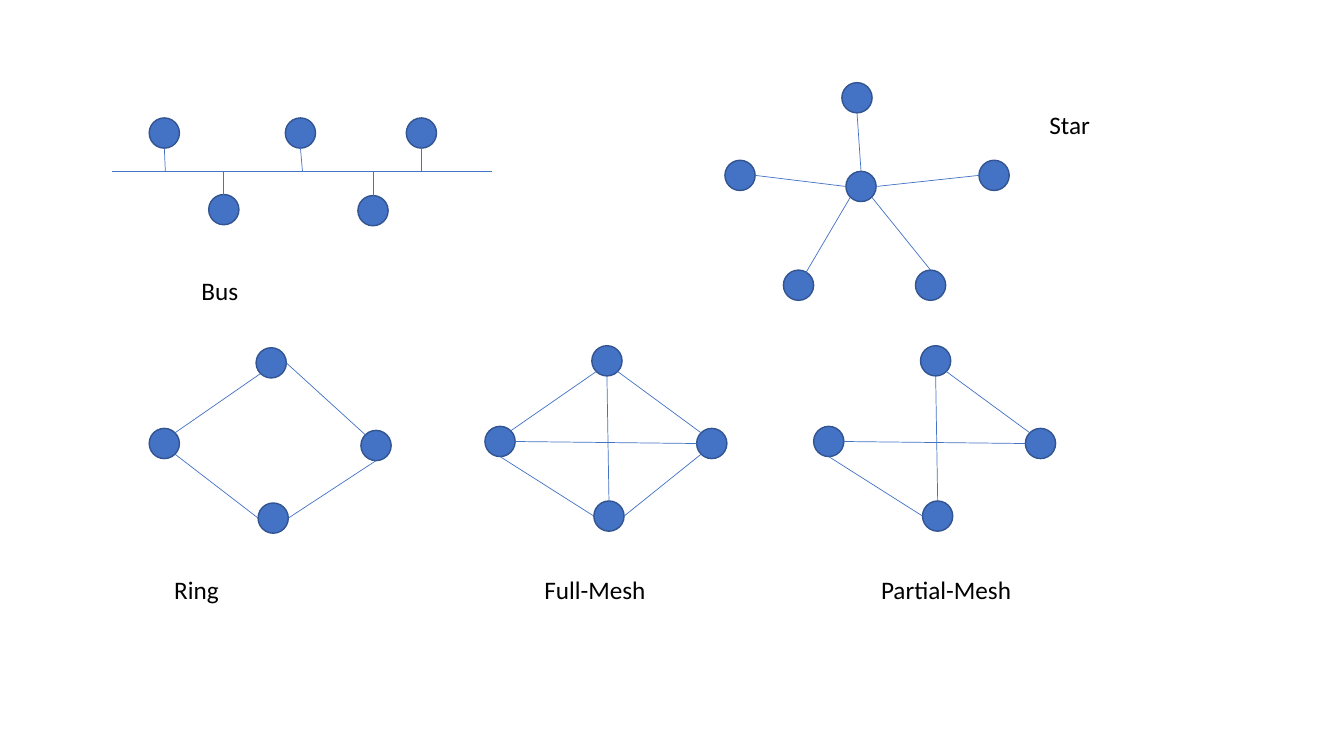
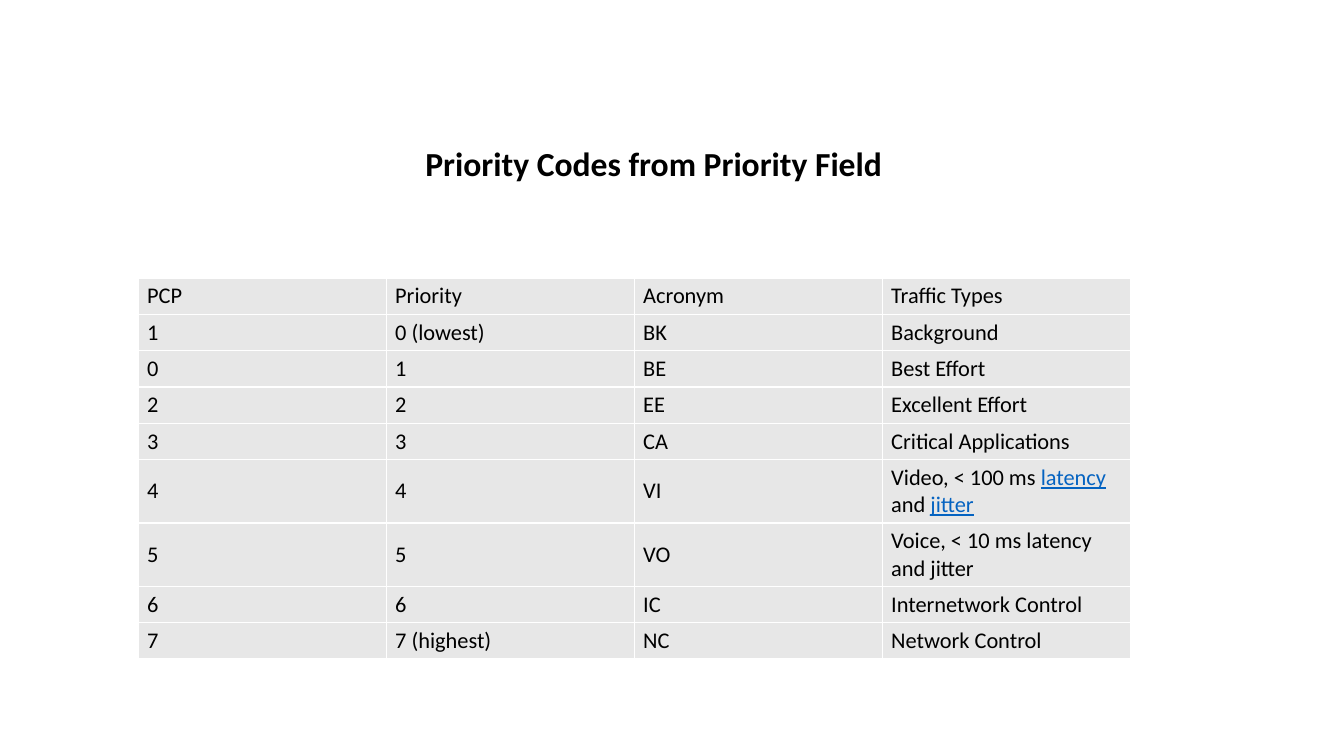
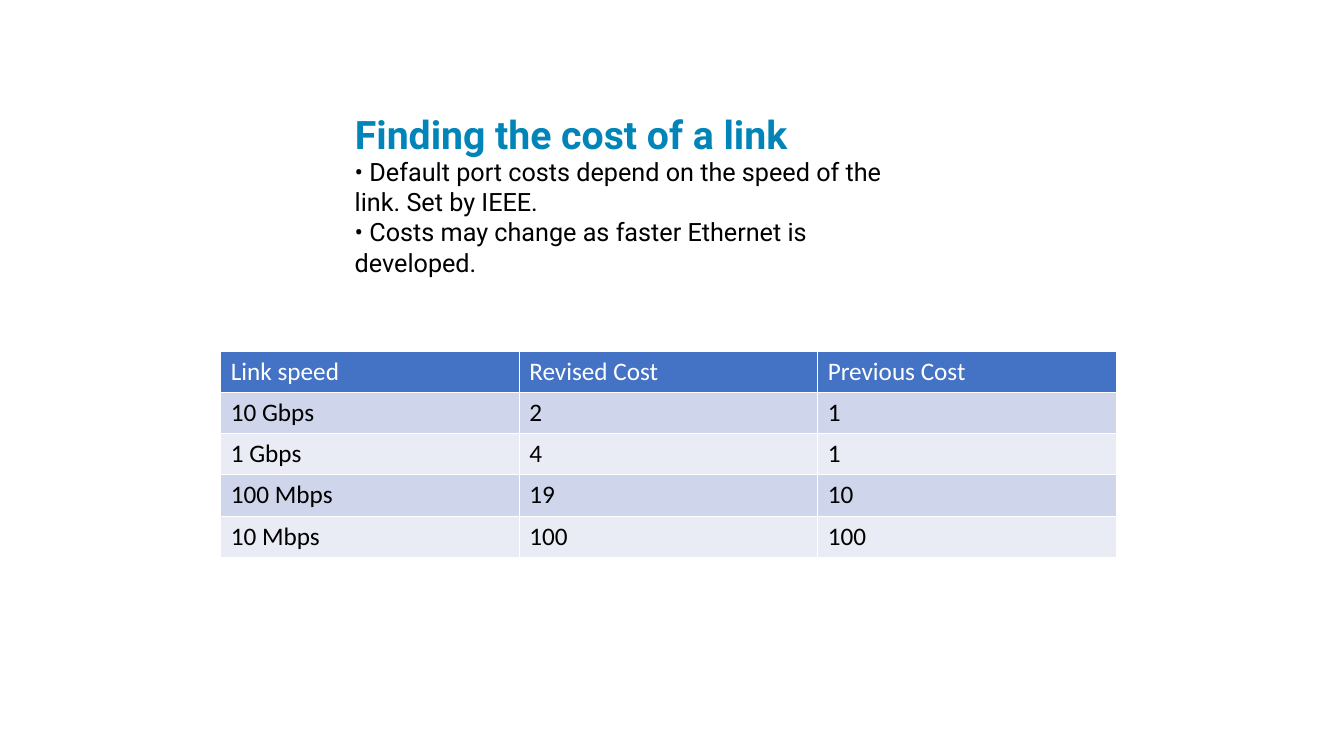
from math import sqrt

from pptx import Presentation
from pptx.dml.color import RGBColor
from pptx.enum import shapes, text
from pptx.oxml import parse_xml
from pptx.oxml.ns import nsdecls
from pptx.util import Inches, Pt

BLACK = RGBColor(0x00, 0x00, 0x00)
WHITE = RGBColor(0xFF, 0xFF, 0xFF)
BLUE = RGBColor(0x44, 0x72, 0xC4)
NAVY = RGBColor(0x32, 0x54, 0x91)
TEAL = RGBColor(0x01, 0x84, 0xB8)
LINK_BLUE = RGBColor(0x05, 0x63, 0xC1)
GREY = RGBColor(0xE7, 0xE7, 0xE7)
BANDS = [RGBColor(0xCF, 0xD5, 0xEA), RGBColor(0xE9, 0xEB, 0xF5)]

TITLE_ONLY, BLANK = 5, 6
RADIUS = 0.15
DIAGONAL = RADIUS / sqrt(2)
# Offsets from a node's centre to the point where a link touches it
SITES = {
    "C": (0, 0), "N": (0, -RADIUS), "S": (0, RADIUS),
    "W": (-RADIUS, 0), "E": (RADIUS, 0),
    "NW": (-DIAGONAL, -DIAGONAL), "NE": (DIAGONAL, -DIAGONAL),
    "SW": (-DIAGONAL, DIAGONAL), "SE": (DIAGONAL, DIAGONAL),
}

LABELS = [
    ("Bus", 1.9, 2.68), ("Star", 10.31, 1.04), ("Ring", 1.63, 5.65),
    ("Full-Mesh", 5.3, 5.65), ("Partial-Mesh", 8.64, 5.65),
]

BUS_START, BUS_END, BUS_Y = 1.11, 4.88, 1.7
# Node centre, then where its tap meets the bus
BUS_NODES = [
    (1.63, 1.32, 1.64), (2.22, 2.08, 2.22), (2.98, 1.32, 3.0),
    (3.7, 2.09, 3.7), (4.18, 1.32, 4.18),
]

STAR_NODES = {
    "hub": (8.54, 1.85), "left": (7.34, 1.74), "top": (8.5, 0.97),
    "right": (9.86, 1.74), "low left": (7.92, 2.83), "low right": (9.23, 2.83),
}
STAR_LINKS = [
    ("left", "E", "hub", "W"), ("top", "S", "hub", "N"),
    ("right", "W", "hub", "E"), ("low left", "C", "hub", "SW"),
    ("low right", "N", "hub", "SE"),
]

DIAMOND_NODES = {
    "left": (4.96, 4.38), "top": (6.02, 3.58),
    "right": (7.06, 4.4), "bottom": (6.04, 5.12),
}
RING_LINKS = [
    ("top", "E", "right", "NW"), ("right", "S", "bottom", "E"),
    ("bottom", "W", "left", "SE"), ("left", "NE", "top", "SW"),
]
PARTIAL_LINKS = [
    ("top", "S", "bottom", "N"), ("top", "SE", "right", "NW"),
    ("left", "E", "right", "W"), ("left", "S", "bottom", "W"),
]
FULL_LINKS = PARTIAL_LINKS + [
    ("top", "SW", "left", "NE"), ("bottom", "E", "right", "SW"),
]
# Nodes, links, shift right, shift down
NETWORKS = [
    (STAR_NODES, STAR_LINKS, 0, 0),
    (DIAMOND_NODES, RING_LINKS, -3.33, 0.02),
    (DIAMOND_NODES, FULL_LINKS, 0, 0),
    (DIAMOND_NODES, PARTIAL_LINKS, 3.26, 0),
]

# A cell is a string, or a list of (text, looks like a link)
PRIORITIES = [
    ("PCP", "Priority", "Acronym", "Traffic Types"),
    ("1", "0 (lowest)", "BK", "Background"),
    ("0", "1", "BE", "Best Effort"),
    ("2", "2", "EE", "Excellent Effort"),
    ("3", "3", "CA", "Critical Applications"),
    ("4", "4", "VI", [("Video, < 100 ms ", False), ("latency", True),
                      (" and ", False), ("jitter", True)]),
    ("5", "5", "VO", "Voice, < 10 ms latency and jitter"),
    ("6", "6", "IC", "Internetwork Control"),
    ("7", "7 (highest)", "NC", "Network Control"),
]
PRIORITY_HEIGHTS = [0.36] * 5 + [0.63] * 2 + [0.36] * 2

LINK_COSTS = [
    ("Link speed", "Revised Cost", "Previous Cost"),
    ("10 Gbps", "2", "1"),
    ("1 Gbps", "4", "1"),
    ("100 Mbps", "19", "10"),
    ("10 Mbps", "100", "100"),
]
COST_NOTES = [
    "• Default port costs depend on the speed of the link. Set by IEEE.",
    "• Costs may change as faster Ethernet is developed.",
]


def add_span(para, words, size, color=BLACK, font="Calibri", bold=False):
    span = para.add_run()
    span.text = words
    span.font.size = Pt(size)
    span.font.name = font
    span.font.bold = bold
    span.font.color.rgb = color
    return span


def add_text(page, paragraphs, left, top, width, height, size, **style):
    box = page.shapes.add_textbox(*map(Inches, (left, top, width, height)))
    frame = box.text_frame
    frame.word_wrap = True
    for index, words in enumerate(paragraphs):
        para = frame.add_paragraph() if index else frame.paragraphs[0]
        add_span(para, words, size, **style)


def set_title(page, words, left, top, width, height, align, size, **style):
    title = page.shapes.title
    title.left, title.top, title.width, title.height = map(
        Inches, (left, top, width, height))
    frame = title.text_frame
    frame.auto_size = text.MSO_AUTO_SIZE.NONE
    frame.vertical_anchor = text.MSO_ANCHOR.TOP
    frame.paragraphs[0].alignment = align
    add_span(frame.paragraphs[0], words, size, bold=True, **style)


def add_node(page, x, y):
    node = page.shapes.add_shape(
        shapes.MSO_SHAPE.OVAL, Inches(x - RADIUS), Inches(y - RADIUS),
        Inches(2 * RADIUS), Inches(2 * RADIUS))
    node.shadow.inherit = False
    node.fill.solid()
    node.fill.fore_color.rgb = BLUE
    node.line.color.rgb = NAVY
    node.line.width = Pt(1)


def add_line(page, start, end):
    line = page.shapes.add_connector(
        shapes.MSO_CONNECTOR.STRAIGHT, *map(Inches, (*start, *end)))
    line.line.color.rgb = BLUE
    line.line.width = Pt(0.5)
    line._element.spPr.append(parse_xml(f"<a:effectLst {nsdecls('a')}/>"))


def add_bus(page):
    add_line(page, (BUS_START, BUS_Y), (BUS_END, BUS_Y))
    for x, y, tap_x in BUS_NODES:
        add_node(page, x, y)
        edge = y + RADIUS if y < BUS_Y else y - RADIUS
        add_line(page, (x, edge), (tap_x, BUS_Y))


def add_network(page, nodes, links, shift_x, shift_y):
    centres = {name: (x + shift_x, y + shift_y)
               for name, (x, y) in nodes.items()}
    for x, y in centres.values():
        add_node(page, x, y)

    def touch_point(name, site):
        return [c + offset for c, offset in zip(centres[name], SITES[site])]

    for first, first_site, second, second_site in links:
        add_line(page, touch_point(first, first_site),
                 touch_point(second, second_site))


def style_cell(cell, fill, margins):
    for side in ("lnL", "lnR", "lnT", "lnB"):
        cell._tc.get_or_add_tcPr().append(parse_xml(
            f'<a:{side} {nsdecls("a")} w="{Pt(1)}"><a:solidFill>'
            f'<a:srgbClr val="{WHITE}"/></a:solidFill></a:{side}>'))
    cell.fill.solid()
    cell.fill.fore_color.rgb = fill
    side_margin, edge_margin = map(Inches, margins)
    cell.margin_left = cell.margin_right = side_margin
    cell.margin_top = cell.margin_bottom = edge_margin


def add_table(page, rows, left, top, col_width, heights, size, fills,
              header_color, margins, anchor):
    table = page.shapes.add_table(
        len(rows), len(rows[0]), Inches(left), Inches(top),
        Inches(col_width * len(rows[0])), Inches(sum(heights))).table
    table.first_row = table.horz_banding = False
    for column in table.columns:
        column.width = Inches(col_width)
    for r, (row, height, fill) in enumerate(zip(rows, heights, fills)):
        table.rows[r].height = Inches(height)
        color = BLACK if r else header_color
        for c, content in enumerate(row):
            cell = table.cell(r, c)
            style_cell(cell, fill, margins)
            cell.vertical_anchor = anchor
            spans = [(content, False)] if isinstance(content, str) else content
            for words, linked in spans:
                span = add_span(cell.text_frame.paragraphs[0], words, size,
                                LINK_BLUE if linked else color)
                if linked:
                    span.font.underline = True


def main():
    deck = Presentation()
    deck.slide_width, deck.slide_height = Inches(13.33), Inches(7.5)

    def new_page(layout):
        return deck.slides.add_slide(deck.slide_layouts[layout])

    page = new_page(BLANK)
    add_bus(page)
    for network in NETWORKS:
        add_network(page, *network)
    for words, left, top in LABELS:
        add_text(page, [words], left, top, 1.6, 0.4, 18)

    page = new_page(TITLE_ONLY)
    set_title(page, "Priority Codes from Priority Field", 2.98, 1.37, 7.01,
              0.5, text.PP_ALIGN.CENTER, 24)
    add_table(page, PRIORITIES, 1.37, 2.76, 2.46, PRIORITY_HEIGHTS, 16,
              [GREY] * len(PRIORITIES), BLACK, (0.09, 0.04),
              text.MSO_ANCHOR.MIDDLE)

    page = new_page(TITLE_ONLY)
    set_title(page, "Finding the cost of a link", 3.42, 1.04, 6.67, 0.56,
              text.PP_ALIGN.LEFT, 28, color=TEAL, font="Roboto")
    add_text(page, COST_NOTES, 3.42, 1.5, 5.6, 1.32, 18, font="Roboto")
    add_table(page, LINK_COSTS, 2.19, 3.49, 2.96, [0.4] + [0.41] * 4, 18,
              [BLUE] + BANDS * 2, WHITE, (0.1, 0.05), text.MSO_ANCHOR.TOP)

    deck.save("out.pptx")


if __name__ == "__main__":
    main()
